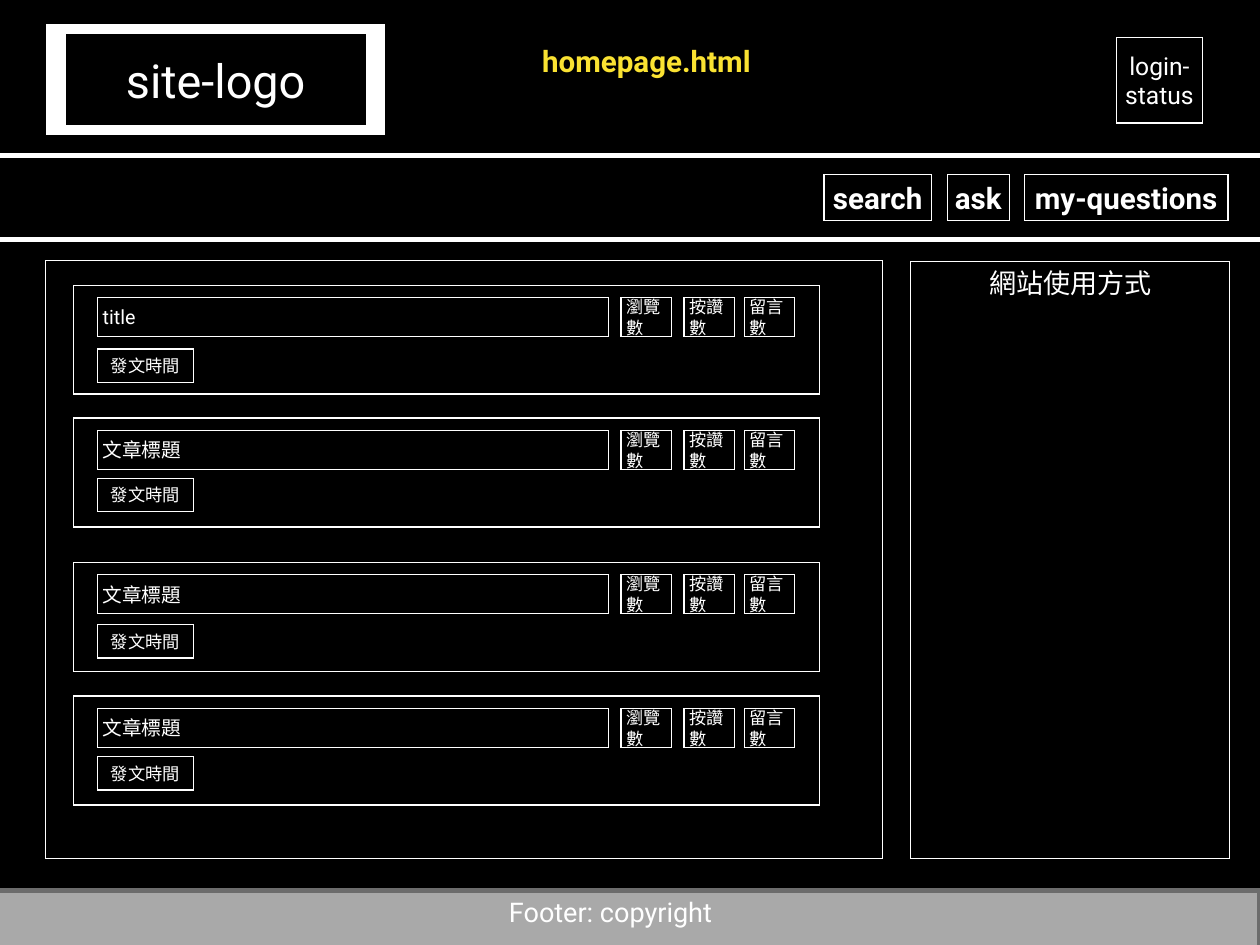
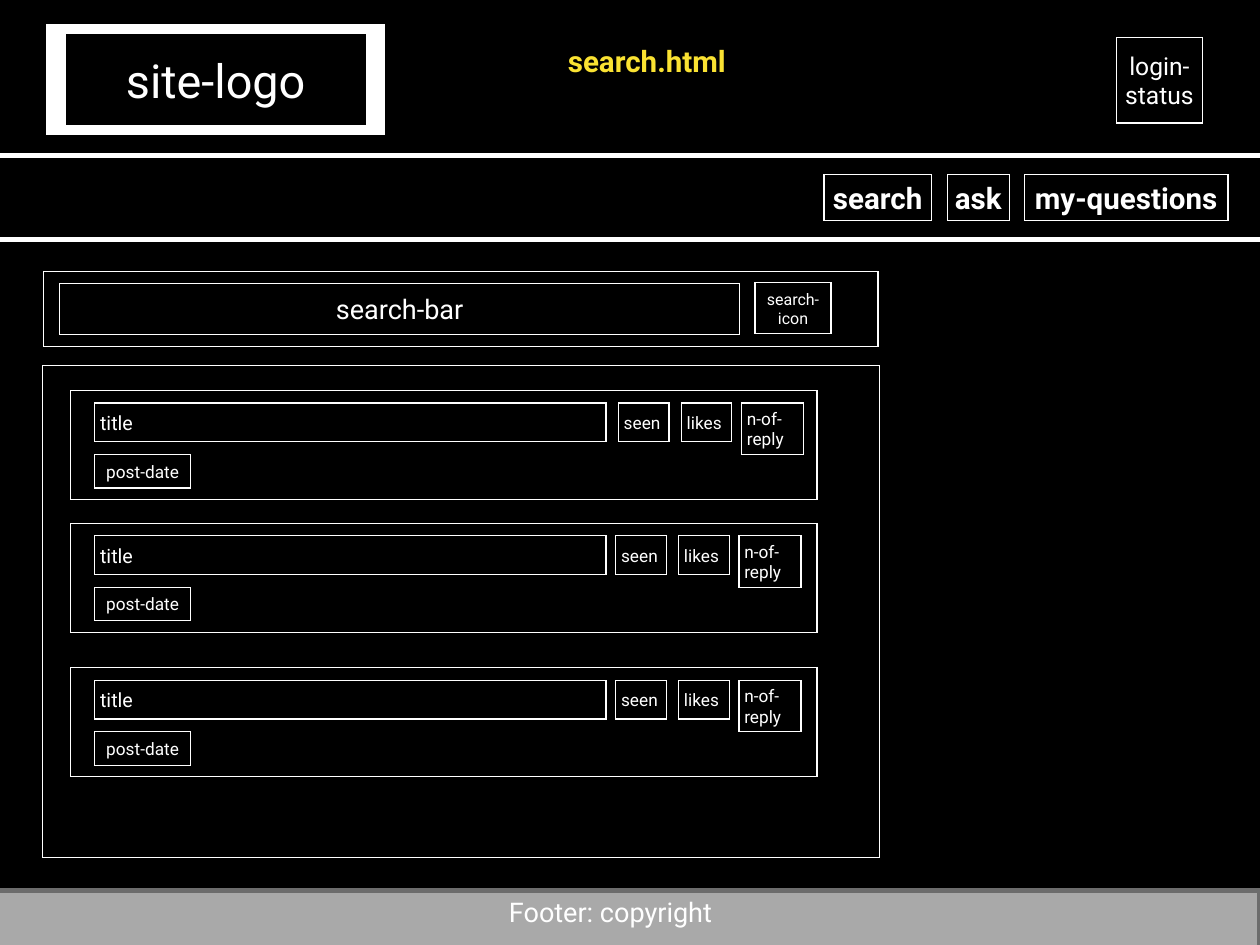
import pptx
import pptx.dml.color
import pptx.enum.shapes
import pptx.enum.text
import pptx.oxml.ns
import pptx.util
from lxml import etree

PX = 9144  # EMU in one px, 100 px to the inch
WIDTH, HEIGHT = 1422, 1067

LEFT = pptx.enum.text.PP_ALIGN.LEFT
CENTER = pptx.enum.text.PP_ALIGN.CENTER
TOP = pptx.enum.text.MSO_ANCHOR.TOP
MIDDLE = pptx.enum.text.MSO_ANCHOR.MIDDLE


def px(length):
    return pptx.util.Emu(length * PX)


def color(hex_string):
    return pptx.dml.color.RGBColor.from_string(hex_string)


class Wireframe:
    FONT = "Roboto"
    BACKGROUND, INK, TITLE = "000000", "FFFFFF", "FAE232"
    FOOTER_FILL, FOOTER_LINE = "A9A9A9", "6C6C6C"
    INSET = 6

    def __init__(self):
        self.presentation = pptx.Presentation()
        self.presentation.slide_width = px(WIDTH)
        self.presentation.slide_height = px(HEIGHT)
        self.slide = None

    def label(self, shape, text, size, align=CENTER, anchor=MIDDLE,
              ink=INK, bold=False, fit=False):
        frame = shape.text_frame
        frame.text = text
        frame.margin_left = frame.margin_right = px(self.INSET)
        frame.margin_top = frame.margin_bottom = px(self.INSET)
        frame.vertical_anchor = anchor
        frame.word_wrap = not fit
        if fit:
            frame.auto_size = pptx.enum.text.MSO_AUTO_SIZE.SHAPE_TO_FIT_TEXT
        paragraph = frame.paragraphs[0]
        paragraph.alignment = align
        font = paragraph.runs[0].font
        font.name, font.size, font.bold = self.FONT, pptx.util.Pt(size), bold
        font.color.rgb = color(ink)

    def box(self, left, top, width, height, text="", size=14,
            line=INK, weight=1, fill=None, **style):
        shape = self.slide.shapes.add_shape(
            pptx.enum.shapes.MSO_SHAPE.RECTANGLE,
            px(left), px(top), px(width), px(height))
        shape.shadow.inherit = False
        if fill:
            shape.fill.solid()
            shape.fill.fore_color.rgb = color(fill)
        else:
            shape.fill.background()
        shape.line.color.rgb = color(line)
        shape.line.width = pptx.util.Pt(weight)
        # Square outline corners
        outline = shape.element.spPr.find(pptx.oxml.ns.qn("a:ln"))
        etree.SubElement(outline, pptx.oxml.ns.qn("a:miter"), lim="400000")
        if text:
            self.label(shape, text, size, **style)

    def title(self, left, width, text):
        shape = self.slide.shapes.add_textbox(
            px(left), px(43), px(width), px(50))
        self.label(shape, text, 24, ink=self.TITLE, bold=True, fit=True)

    def page(self, title, title_left, title_width):
        """Start a slide with the shared header, navigation and footer."""
        self.slide = self.presentation.slides.add_slide(
            self.presentation.slide_layouts[6])
        background = self.slide.background.fill
        background.solid()
        background.fore_color.rgb = color(self.BACKGROUND)
        # Header
        self.box(-27, 176, 1466, 94, weight=4)
        self.box(69, 33, 350, 114, weight=8)
        self.box(58, 33, 371, 114, "site-logo", 38, weight=8)
        self.title(title_left, title_width, title)
        self.box(1260, 42, 97, 97, "login-status", 20)
        # Navigation
        for left, width, text in ((930, 121, "search"), (1069, 70, "ask"),
                                  (1156, 230, "my-questions")):
            self.box(left, 197, width, 52, text, 24, bold=True, fit=True)
        # Footer
        self.box(-44, 1005, 1466, 93, "Footer: copyright", 22, anchor=TOP,
                 line=self.FOOTER_LINE, weight=4, fill=self.FOOTER_FILL)

    def post(self, left, top, title, date, date_drop, counters,
             last_size=(57, 44), shift=0):
        """Draw one post card with its title, counters and date."""
        self.box(left, top, 842, 123)
        self.box(left + 27, top + 14, 577, 44, title, 16, align=LEFT)
        sizes = ((57, 44), (57, 44), last_size)
        for offset, size, text in zip((618, 689, 757), sizes, counters):
            self.box(left + offset - shift, top + 14, *size, text, align=LEFT)
        self.box(left + 27, top + date_drop, 108, 38, date)


def homepage(wireframe):
    wireframe.page("homepage.html", 599, 261)
    # Post list
    wireframe.box(51, 294, 945, 675)
    for top, title, date_drop in ((322, "title", 72), (472, "文章標題", 68),
                                  (635, "文章標題", 70), (786, "文章標題", 68)):
        wireframe.post(83, top, title, "發文時間", date_drop,
                       ("瀏覽數", "按讚數", "留言數"))
    # Usage panel
    wireframe.box(1028, 295, 360, 674, "網站使用方式", 22, anchor=TOP)


def search(wireframe):
    wireframe.page("search.html", 630, 200)
    # Search bar
    wireframe.box(49, 307, 942, 84)
    wireframe.box(67, 320, 768, 58, "search-bar", 22)
    wireframe.box(852, 319, 86, 58, "search-icon", 13)
    # Results
    wireframe.box(48, 413, 945, 555)
    for top, shift in ((441, 0), (591, 3), (754, 3)):
        wireframe.post(80, top, "title", "post-date", 72,
                       ("seen", "likes", "n-of-reply"), (70, 58), shift)


def main():
    wireframe = Wireframe()
    homepage(wireframe)
    search(wireframe)
    wireframe.presentation.save("out.pptx")


if __name__ == "__main__":
    main()
